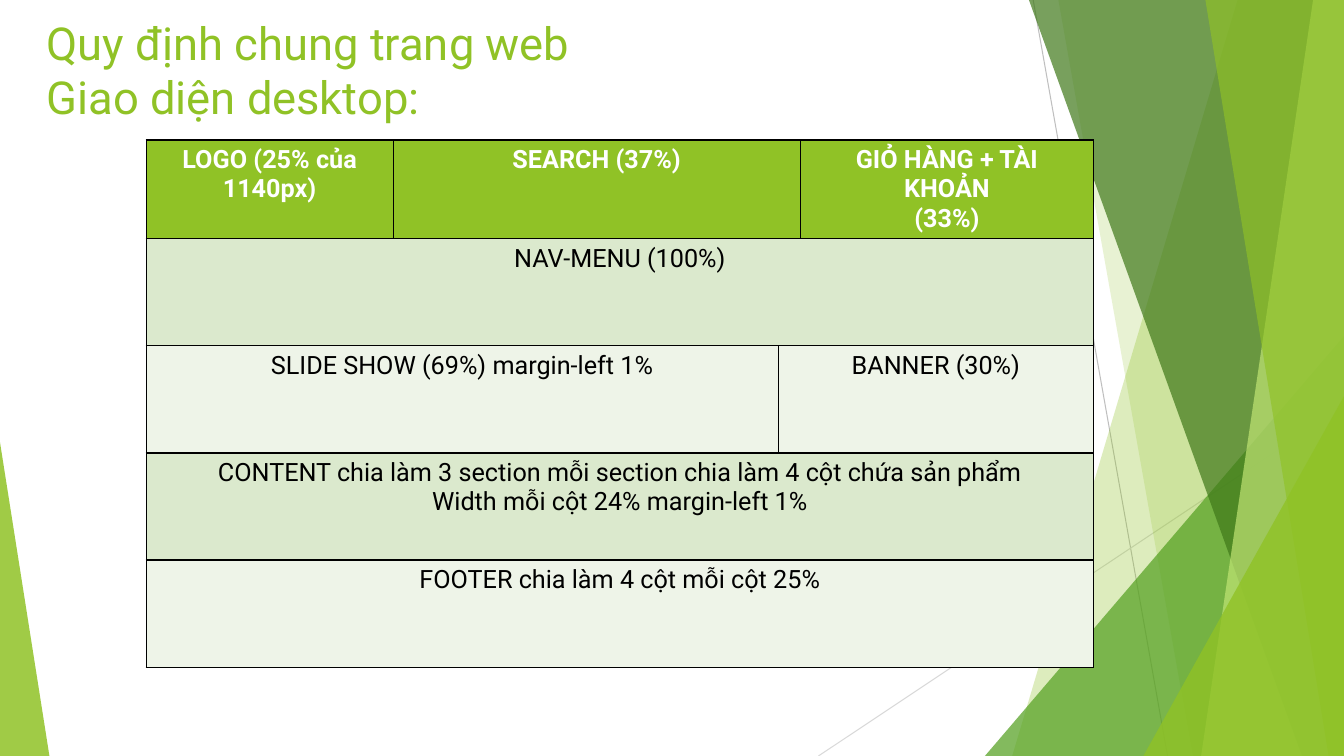
from pptx import Presentation
from pptx.dml.color import RGBColor as RGB
from pptx.enum.shapes import MSO_CONNECTOR as LINK, MSO_SHAPE as KIND
from pptx.enum.text import MSO_ANCHOR as ANCHOR, MSO_AUTO_SIZE as FIT, PP_ALIGN as ALIGN
from pptx.oxml.ns import qn
from pptx.util import Pt
from lxml.etree import SubElement as sub

LIME = RGB(0x90, 0xC2, 0x26)
GREEN = RGB(0x54, 0xA0, 0x21)
DARK = RGB(0x3F, 0x78, 0x19)
LIGHT = RGB(0xC0, 0xE4, 0x74)
GRAY = RGB(0xBF, 0xBF, 0xBF)
PALE = RGB(0xD9, 0xD9, 0xD9)
MINT = RGB(0xDB, 0xE9, 0xCD)
MIST = RGB(0xEE, 0xF4, 0xE8)
WHITE = RGB(0xFF, 0xFF, 0xFF)
BLACK = RGB(0, 0, 0)
FONT = "Roboto"
WIDE, HIGH = 960, 540

COLS = [176.4, 275, 15.8, 209.6]
ROWS = [65] + [76.5] * 4
GRID = [
    (LIME, [(0, 0, "LOGO (25% của 1140px)"), (1, 2, "SEARCH (37%)"),
            (3, 3, "GIỎ HÀNG + TÀI KHOẢN\n(33%)")]),
    (MINT, [(0, 3, "NAV-MENU (100%)")]),
    (MIST, [(0, 1, "SLIDE SHOW (69%) margin-left 1%"), (2, 3, "BANNER (30%)")]),
    (MINT, [(0, 3, "CONTENT chia làm 3 section mỗi section chia làm 4 cột "
                   "chứa sản phẩm\nWidth mỗi cột 24% margin-left 1%")]),
    (MIST, [(0, 3, "FOOTER chia làm 4 cột mỗi cột 25%")]),
]


def place(shape, box):
    shape.left, shape.top, shape.width, shape.height = map(Pt, box)


def style(para, size, color, bold=False):
    for run in para.runs:
        font = run.font
        font.name, font.size, font.bold = FONT, Pt(size), bold
        font.color.rgb = color


def paint(shape, color, alpha):
    shape.shadow.inherit = False
    shape.line.fill.background()
    shape.fill.solid()
    shape.fill.fore_color.rgb = color
    tint = shape.fill._xPr.find(qn("a:solidFill"))[0]
    sub(tint, qn("a:alpha"), val=str(alpha * 1000))


def wedge(slide, box, apex, color, alpha):
    shape = slide.shapes.add_shape(KIND.ISOSCELES_TRIANGLE, *map(Pt, box))
    shape.adjustments[0] = apex
    paint(shape, color, alpha)


def band(slide, box, head, foot, color, alpha):
    x, y, w, h = box
    right, base = x + w, y + h
    pen = slide.shapes.build_freeform(right - head, y, scale=Pt(1))
    pen.add_line_segments([(right, y), (right, base), (right - foot, base)])
    paint(pen.convert_to_shape(), color, alpha)


def ray(slide, start, end, color):
    line = slide.shapes.add_connector(LINK.STRAIGHT, *map(Pt, start + end))
    line.line.width = Pt(0.75)
    line.line.color.rgb = color
    sub(line._element.spPr, qn("a:effectLst"))


def decor(slide, box):
    x, y, w, h = box
    right, base = x + w, y + h

    def corner(wide, high, color, alpha):
        wedge(slide, (right - wide, base - high, wide, high), 1, color, alpha)

    ray(slide, (right - 222, y), (right - 126, base), GRAY)
    ray(slide, (right, y + 290), (right - 375.4, base), PALE)
    band(slide, box, 75.8, 237, LIME, 30)
    band(slide, box, 204, 108, LIME, 20)
    corner(256.5, 300, GREEN, 72)
    for args in [(225, 30.5, DARK, 70), (21.8, 101.8, LIGHT, 70), (98.8, 11, LIME, 65)]:
        band(slide, box, *args)
    corner(143.3, 257, LIME, 80)


def title(slide, box):
    head = slide.shapes.title
    place(head, box)
    frame = head.text_frame
    frame.text = "Quy định chung trang web\vGiao diện desktop:"
    frame.word_wrap, frame.auto_size = True, FIT.NONE
    frame.vertical_anchor = ANCHOR.TOP
    para = frame.paragraphs[0]
    para.alignment = ALIGN.LEFT
    style(para, 32.4, LIME)


def edge(cell):
    props = cell._tc.get_or_add_tcPr()
    for side in "LRTB":
        line = sub(props, qn("a:ln" + side), w=str(Pt(1)))
        fill = sub(line, qn("a:solidFill"))
        sub(fill, qn("a:srgbClr"), val=str(BLACK))


def plan(slide, box):
    table = slide.shapes.add_table(len(ROWS), len(COLS), *map(Pt, box)).table
    table.horz_banding = False
    for col, wide in zip(table.columns, COLS):
        col.width = Pt(wide)
    for row, high in zip(table.rows, ROWS):
        row.height = Pt(high)
    for r, (color, parts) in enumerate(GRID):
        for c in range(len(COLS)):
            cell = table.cell(r, c)
            edge(cell)
            cell.fill.solid()
            cell.fill.fore_color.rgb = color
        for first, last, text in parts:
            cell = table.cell(r, first)
            if last > first:
                cell.merge(table.cell(r, last))
            cell.text_frame.text = text
            for para in cell.text_frame.paragraphs:
                para.alignment = ALIGN.CENTER
                style(para, 18, BLACK if r else WHITE, r == 0)


deck = Presentation()
deck.slide_width, deck.slide_height = Pt(WIDE), Pt(HIGH)
page = deck.slides.add_slide(deck.slide_layouts[5])
decor(page, (0, 0, WIDE, HIGH))
wedge(page, (0, 316, 35.3, 224), 0, LIME, 85)
title(page, (26, 7.2, 676.8, 78))
plan(page, (104.4, 100, sum(COLS), sum(ROWS)))
deck.save("out.pptx")
